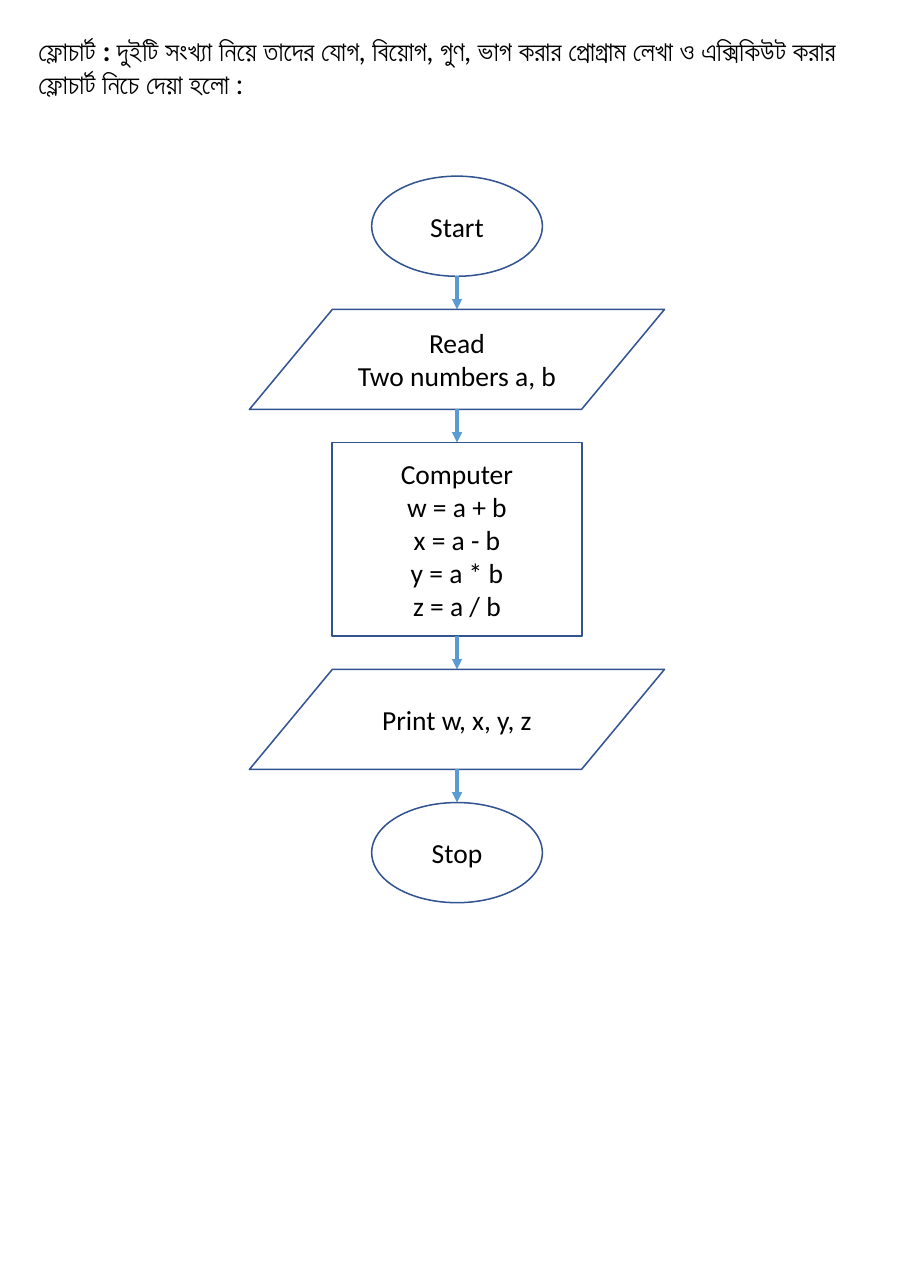
from lxml.etree import SubElement
from pptx import Presentation
from pptx.dml.color import RGBColor
from pptx.enum.shapes import MSO_CONNECTOR, MSO_SHAPE
from pptx.enum.text import MSO_ANCHOR, PP_ALIGN
from pptx.oxml.ns import qn
from pptx.util import Inches, Pt

COLORS = {"text": "000000", "outline": "325491", "arrow": "5B9BD5"}

# Content: heading runs as (text, bold), steps as (kind, lines)
HEADING = [
    ("ফ্লোচার্ট : ", True),
    ("দুইটি সংখ্যা নিয়ে তাদের যোগ, বিয়োগ, গুণ, ভাগ করার প্রোগ্রাম লেখা ও "
     "এক্সিকিউট করার ফ্লোচার্ট নিচে দেয়া হলো :", False),
]
STEPS = [
    ("terminal", ["Start"]),
    ("data", ["Read", "Two numbers a, b"]),
    ("process", ["Computer", "w = a + b", "x = a - b", "y = a * b", "z = a / b"]),
    ("data", ["Print w, x, y, z"]),
    ("terminal", ["Stop"]),
]

# Preset, width and height of each kind of step
KINDS = {
    "terminal": (MSO_SHAPE.OVAL, 1.55, 0.91),
    "data": (MSO_SHAPE.FLOWCHART_DATA, 3.77, 0.91),
    "process": (MSO_SHAPE.RECTANGLE, 2.27, 1.76),
}
PAGE_WIDTH, PAGE_HEIGHT = 8.3, 11.7
CENTER = PAGE_WIDTH / 2
FIRST_TOP, GAP = 1.6, 0.3


def color(name):
    return RGBColor.from_string(COLORS[name])


def add_span(para, text, font, bold=False):
    span = para.add_run()
    span.text = text
    span.font.name = font
    span.font.size = Pt(18)
    span.font.bold = bold
    span.font.color.rgb = color("text")


def add_heading(page):
    box = page.shapes.add_textbox(Inches(0.25), Inches(0.25), Inches(7.8), Inches(0.71))
    frame = box.text_frame
    frame.word_wrap = True
    frame.vertical_anchor = MSO_ANCHOR.MIDDLE
    for text, bold in HEADING:
        add_span(frame.paragraphs[0], text, "Lato", bold)


def add_step(page, kind, lines, top):
    preset, width, height = KINDS[kind]
    step = page.shapes.add_shape(preset, Inches(CENTER - width / 2), Inches(top),
                                 Inches(width), Inches(height))
    step.shadow.inherit = False
    step.fill.background()
    step.line.color.rgb = color("outline")
    step.line.width = Pt(1)
    frame = step.text_frame
    frame.word_wrap = True
    frame.vertical_anchor = MSO_ANCHOR.MIDDLE
    for index, text in enumerate(lines):
        para = frame.add_paragraph() if index else frame.paragraphs[0]
        para.alignment = PP_ALIGN.CENTER
        add_span(para, text, "Calibri")
    return top + height


def add_arrow(page, top):
    arrow = page.shapes.add_connector(MSO_CONNECTOR.STRAIGHT, Inches(CENTER), Inches(top),
                                      Inches(CENTER), Inches(top + GAP))
    arrow.line.color.rgb = color("arrow")
    arrow.line.width = Pt(2.25)
    SubElement(arrow.line._get_or_add_ln(), qn("a:tailEnd"), type="triangle")
    SubElement(arrow._element.spPr, qn("a:effectLst"))


def main():
    deck = Presentation()
    deck.slide_width, deck.slide_height = Inches(PAGE_WIDTH), Inches(PAGE_HEIGHT)
    page = deck.slides.add_slide(deck.slide_layouts[6])
    add_heading(page)

    # Steps run down the center, with an arrow in each gap
    top = FIRST_TOP
    for index, (kind, lines) in enumerate(STEPS):
        if index:
            add_arrow(page, top)
            top += GAP
        top = add_step(page, kind, lines, top)

    deck.save("out.pptx")


if __name__ == "__main__":
    main()
